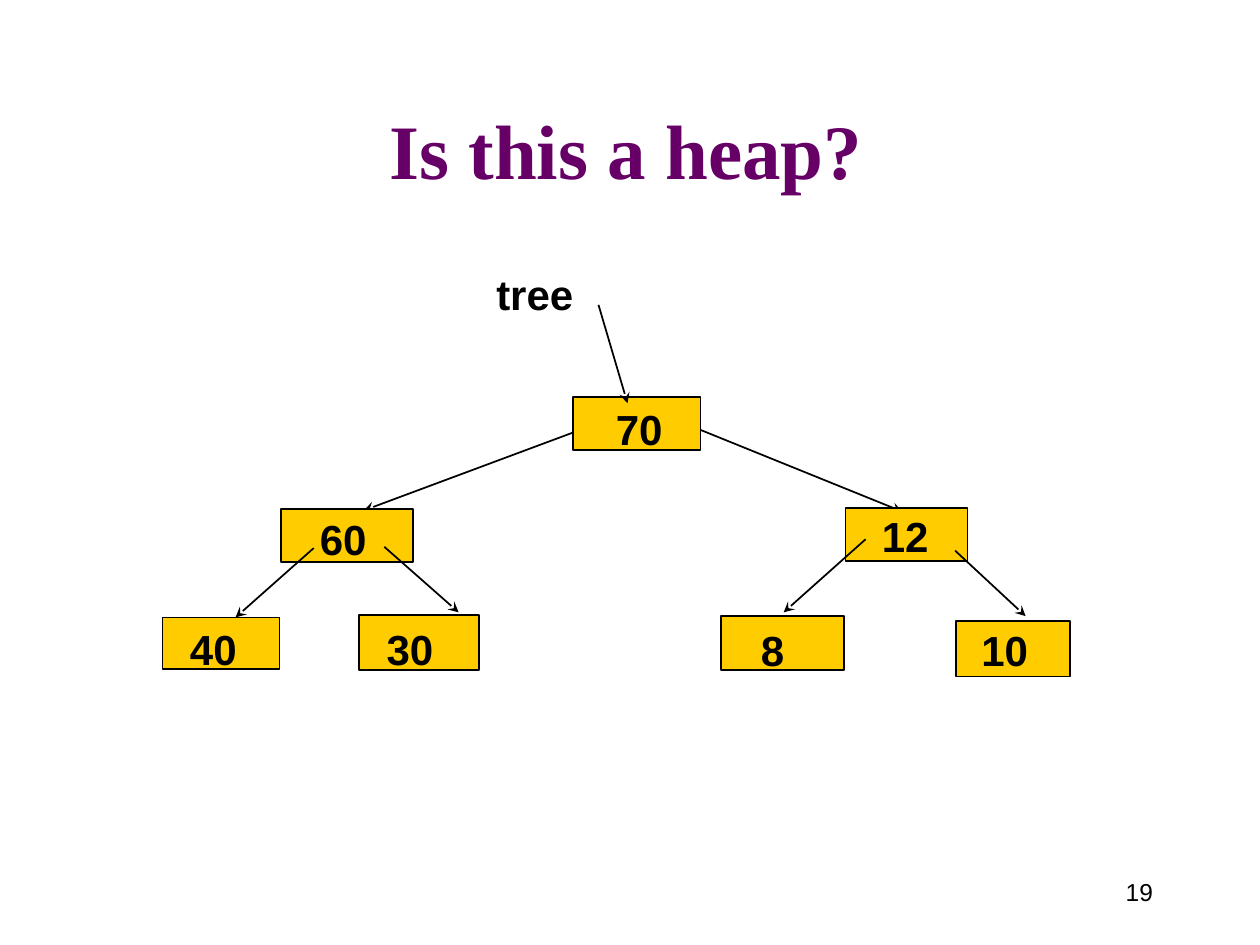
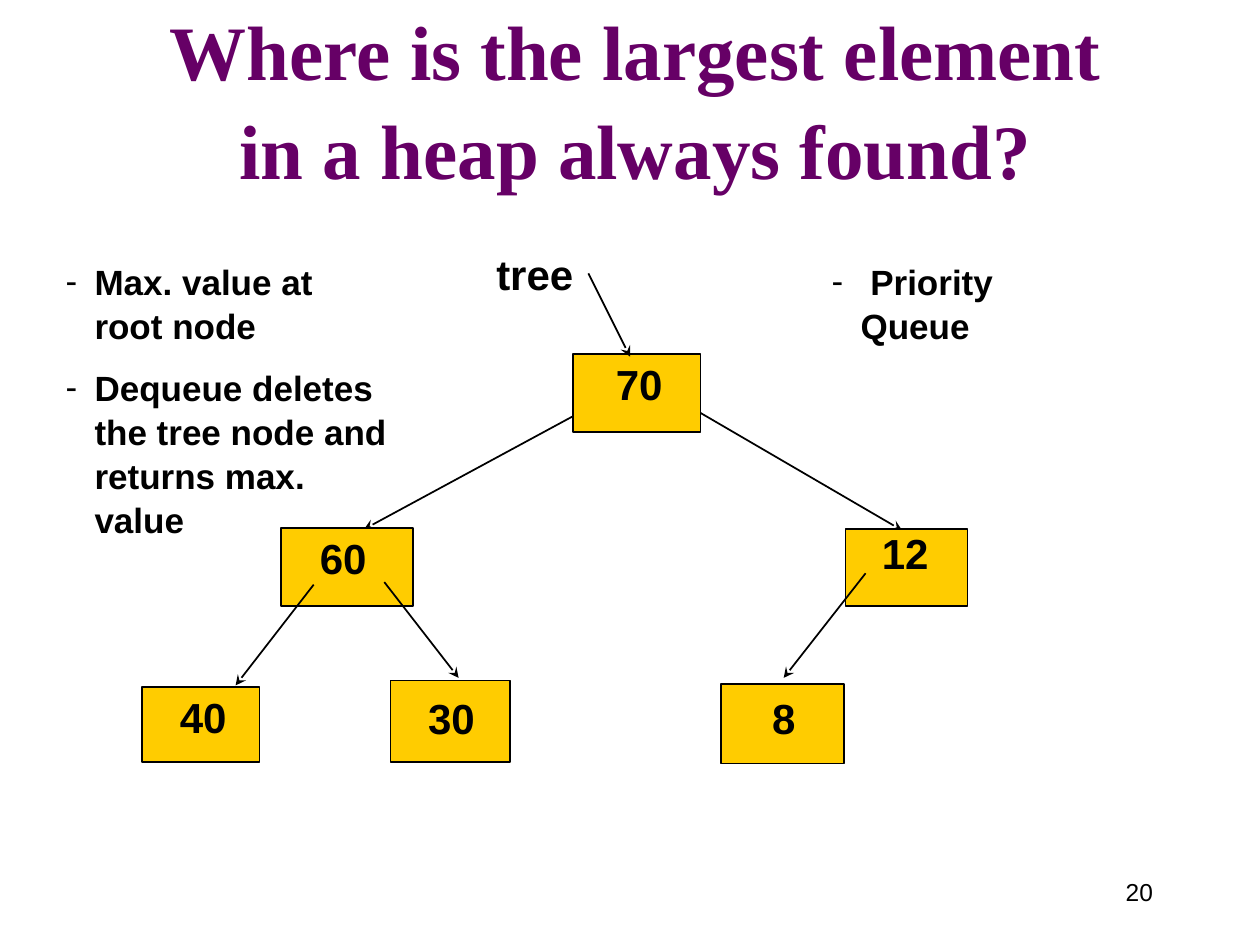
from pptx import Presentation
from pptx.dml.color import RGBColor
from pptx.enum.shapes import MSO_CONNECTOR as CONNECTOR, MSO_SHAPE as SHAPE
from pptx.enum.text import MSO_ANCHOR as ANCHOR, MSO_AUTO_SIZE as AUTO_SIZE, PP_ALIGN as ALIGN
from pptx.oxml.ns import qn
from pptx.util import Pt
from lxml.etree import SubElement

PX = 9144  # 100 px to the inch
PURPLE = RGBColor(0x66, 0x00, 0x66)
GOLD = RGBColor(0xFF, 0xCC, 0x00)
BLACK = RGBColor(0, 0, 0)
WHITE = RGBColor(0xFF, 0xFF, 0xFF)

# Shared text styles: font, paragraph and frame formats
TITLE = (dict(name="Times New Roman", size=Pt(44), bold=True),
         dict(alignment=ALIGN.CENTER, line_spacing=1.08),
         dict(vertical_anchor=ANCHOR.BOTTOM), PURPLE)
LABEL = (dict(name="Arial", size=Pt(24), bold=True),
         dict(alignment=ALIGN.LEFT), dict(vertical_anchor=ANCHOR.TOP), BLACK)
LIST = (dict(name="Arial", size=Pt(20), bold=True),
        dict(alignment=ALIGN.LEFT, line_spacing=1.05, space_before=Pt(10)),
        dict(vertical_anchor=ANCHOR.TOP), BLACK)
NUMBER = (dict(name="Arial", size=Pt(14), bold=False),
          dict(alignment=ALIGN.RIGHT), dict(vertical_anchor=ANCHOR.MIDDLE), BLACK)

TITLE_PLACE = (39, 35, 931, 125)
NUMBER_PLACE = (858, 683, 67, 50)
LABEL_SIZE = (63, 50)
TREE_SIZE = (82, 50)
BULLET_INDENT = 23

# Nodes: value, box (left, top, width, height), label (left, top)
# Arrows: tail x, tail y, tip x, tip y
SLIDES = [
    dict(
        number="19", title="Is this a heap? ", layout=5, lists=[],
        tree=(384, 208),
        nodes=[("70", (455, 315, 101, 42), (479, 315)),
               ("60", (223, 404, 105, 42), (244, 403)),
               ("12", (671, 403, 97, 42), (690, 400)),
               ("40", (129, 490, 93, 41), (141, 490)),
               ("30", (285, 488, 95, 44), (297, 490)),
               ("8", (572, 489, 98, 43), (594, 491)),
               ("10", (759, 493, 90, 44), (769, 491))],
        root_arrows=[(461, 341, 289, 405), (553, 340, 716, 406)],
        arrows=[(475, 242, 498, 320), (249, 435, 187, 490), (305, 434, 364, 486),
                (687, 428, 622, 486), (758, 437, 814, 489)]),
    dict(
        number="20", layout=3,
        title="Where is the largest element\v in a heap always found? ",
        lists=[((42, 200, 275, 195),
                ["Max. value at root node",
                 "Dequeue deletes the tree node and returns max. value"]),
               ((650, 200, 235, 80), [" Priority Queue"])],
        tree=(384, 192),
        nodes=[("70", (455, 281, 101, 62), (479, 280)),
               ("60", (223, 419, 105, 62), (244, 418)),
               ("12", (671, 420, 97, 61), (690, 414)),
               ("40", (113, 545, 93, 60), (133, 544)),
               ("30", (310, 540, 95, 65), (330, 545)),
               ("8", (572, 543, 98, 63), (603, 545))],
        root_arrows=[(461, 327, 289, 420), (553, 326, 716, 421)],
        arrows=[(467, 217, 500, 283), (249, 464, 187, 544), (305, 462, 364, 538),
                (687, 455, 622, 538)]),
]


def write(box, place, lines, style):
    """Place a box and fill it with paragraphs in one style."""
    font_format, para_format, frame_format, color = style
    box.left, box.top, box.width, box.height = [length * PX for length in place]
    frame = box.text_frame
    frame.word_wrap = True
    frame.auto_size = AUTO_SIZE.NONE
    for name, value in frame_format.items():
        setattr(frame, name, value)
    frame.text = "\n".join(lines)
    for para in frame.paragraphs:
        for name, value in para_format.items():
            setattr(para, name, value)
        for span in para.runs:
            for name, value in font_format.items():
                setattr(span.font, name, value)
            span.font.color.rgb = color


def draw_arrow(page, ends):
    """Draw a thin line with a stealth tip at its end."""
    arrow = page.shapes.add_connector(CONNECTOR.STRAIGHT, *[length * PX for length in ends])
    arrow.line.color.rgb = BLACK
    arrow.line.width = Pt(1)
    SubElement(arrow.line._get_or_add_ln(), qn("a:tailEnd"), type="stealth")
    SubElement(arrow._element.spPr, qn("a:effectLst"))


deck = Presentation()
deck.slide_width, deck.slide_height = 1000 * PX, 750 * PX

for content in SLIDES:
    page = deck.slides.add_slide(deck.slide_layouts[content["layout"]])
    page.background.fill.solid()
    page.background.fill.fore_color.rgb = WHITE

    # Title and slide number
    write(page.shapes.title, TITLE_PLACE, [content["title"]], TITLE)
    write(page.shapes.add_textbox(0, 0, 0, 0), NUMBER_PLACE, [content["number"]], NUMBER)

    # Arrows from the root, tucked behind the node boxes
    for ends in content["root_arrows"]:
        draw_arrow(page, ends)

    # Node boxes
    for value, place, label_place in content["nodes"]:
        node = page.shapes.add_shape(SHAPE.RECTANGLE, *[length * PX for length in place])
        node.shadow.inherit = False
        node.fill.solid()
        node.fill.fore_color.rgb = GOLD
        node.line.color.rgb = BLACK
        node.line.width = Pt(1)

    # Remaining arrows
    for ends in content["arrows"]:
        draw_arrow(page, ends)

    # Node values and the tree label
    for value, place, label_place in content["nodes"]:
        write(page.shapes.add_textbox(0, 0, 0, 0), label_place + LABEL_SIZE, [value], LABEL)
    write(page.shapes.add_textbox(0, 0, 0, 0), content["tree"] + TREE_SIZE, ["tree"], LABEL)

    # Dashed lists
    for index, (place, lines) in enumerate(content["lists"], start=1):
        body = page.placeholders[index]
        write(body, place, lines, LIST)
        for para in body.text_frame.paragraphs:
            properties = para._p.get_or_add_pPr()
            properties.set("marL", str(BULLET_INDENT * PX))
            properties.set("indent", str(-BULLET_INDENT * PX))
            SubElement(properties, qn("a:buChar"), char="-")

deck.save("out.pptx")
